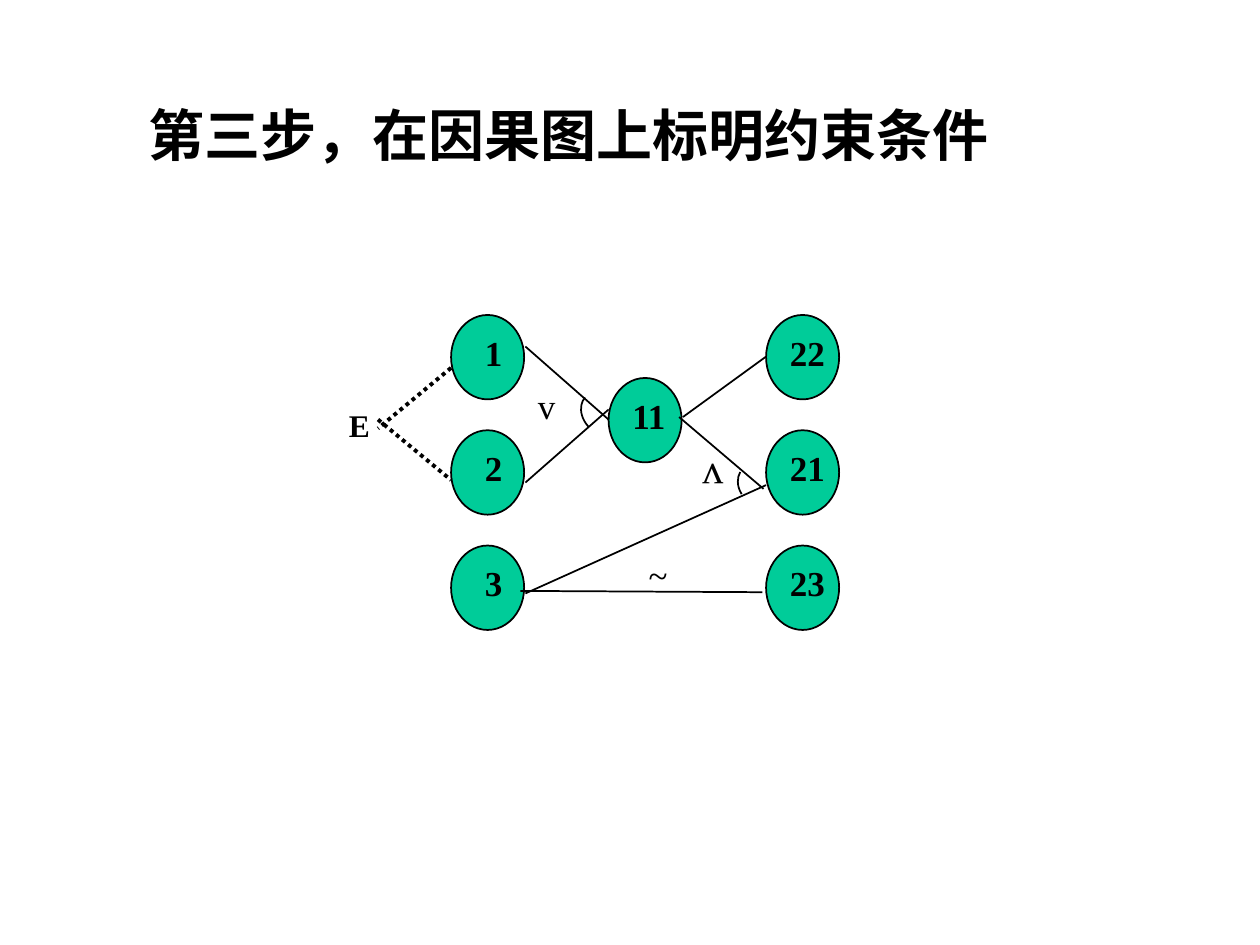
from dataclasses import dataclass

from lxml import etree
from pptx import Presentation
from pptx.dml.color import RGBColor
from pptx.enum.dml import MSO_LINE
from pptx.enum.shapes import MSO_CONNECTOR, MSO_SHAPE
from pptx.enum.text import PP_ALIGN
from pptx.oxml.ns import qn
from pptx.util import Inches, Pt

STRAIGHT = MSO_CONNECTOR.STRAIGHT
ELLIPSE, ARC = MSO_SHAPE.OVAL, MSO_SHAPE.ARC
JUSTIFY = PP_ALIGN.JUSTIFY
DOTTED = MSO_LINE.ROUND_DOT


@dataclass(frozen=True)
class Theme:
    ink: RGBColor = RGBColor(0x00, 0x00, 0x00)
    node_fill: RGBColor = RGBColor(0x00, 0xCC, 0x99)
    title_font: str = "Noto Sans CJK SC"
    label_font: str = "Times New Roman"
    title_size: int = 32
    label_size: int = 20
    and_size: int = 24
    constraint_size: int = 18
    thin: float = 1
    thick: float = 2.25


THEME = Theme()

NODE_WIDTH, NODE_HEIGHT = 0.58, 0.67
CAUSE_LEFT, MIDDLE_LEFT, EFFECT_LEFT = 3.58, 4.83, 6.08
ROW_TOP, ROW_STEP = 2.5, 0.915
CAUSES = ["1", "2", "3"]
EFFECTS = ["22", "21", "23"]

RELATIONS = [
    ((4.17, 2.75), (4.83, 3.33)),
    ((4.17, 3.83), (4.83, 3.25)),
    ((6.08, 2.83), (5.42, 3.31)),
    ((5.39, 3.31), (6.06, 3.88)),
    ((6.08, 3.85), (4.17, 4.71)),
    ((4.13, 4.69), (6.05, 4.7)),
]
EXCLUSIONS = [
    ((3.58, 2.92), (3, 3.4)),
    ((3, 3.33), (3.58, 3.81)),
]
# left, top, width, height, start angle, end angle
JOIN_ARCS = [
    (4.63, 3.1, 0.29, 0.37, 176, 266),
    (5.87, 3.67, 0.3, 0.36, 193, 257),
]
ARC_ROTATION = 318.8


def add_label(slide, text, left, top, width, height, size,
              bold=False, font=THEME.label_font):
    label = slide.shapes.add_textbox(
        Inches(left), Inches(top), Inches(width), Inches(height))
    label.text_frame.word_wrap = True
    run = label.text_frame.paragraphs[0].add_run()
    run.text = text
    formats = {"name": font, "size": Pt(size), "bold": bold}
    for attribute, value in formats.items():
        setattr(run.font, attribute, value)
    run.font.color.rgb = THEME.ink
    east_asian = etree.SubElement(run.font._element, qn("a:ea"))
    east_asian.set("typeface", font)
    return label


def add_title(slide, text):
    title = add_label(slide, text, 1.08, 0.75, 8.5, 0.92, THEME.title_size,
                      bold=True, font=THEME.title_font)
    paragraph = title.text_frame.paragraphs[0]
    paragraph.alignment = JUSTIFY
    properties = paragraph._p.get_or_add_pPr()
    properties.set("marL", str(Inches(0.38)))
    properties.set("indent", str(-Inches(0.38)))


def add_node(slide, number, left, top):
    node = slide.shapes.add_shape(
        ELLIPSE, Inches(left), Inches(top),
        Inches(NODE_WIDTH), Inches(NODE_HEIGHT))
    node.shadow.inherit = False
    node.fill.solid()
    node.fill.fore_color.rgb = THEME.node_fill
    node.line.color.rgb = THEME.ink
    node.line.width = Pt(THEME.thin)
    inset = 0.17 if len(number) == 1 else 0.09
    add_label(slide, number, left + inset, top + 0.08, 0.5, 0.44,
              THEME.label_size, bold=True)


def add_link(slide, start, end, width=THEME.thin, dash=None):
    link = slide.shapes.add_connector(
        STRAIGHT, *(Inches(value) for value in (*start, *end)))
    formats = {"width": Pt(width), "dash_style": dash}
    for attribute, value in formats.items():
        setattr(link.line, attribute, value)
    link.line.color.rgb = THEME.ink
    etree.SubElement(link._element.spPr, qn("a:effectLst"))


def add_join_arc(slide, left, top, width, height, start, end):
    """Draw the arc that ties two links together; angles are in degrees."""
    arc = slide.shapes.add_shape(
        ARC, Inches(left), Inches(top), Inches(width), Inches(height))
    arc.shadow.inherit = False
    arc.fill.background()
    arc.line.color.rgb = THEME.ink
    arc.line.width = Pt(THEME.thin)
    arc.rotation = ARC_ROTATION
    for index, angle in enumerate((start, end)):
        arc.adjustments[index] = angle * 0.6


def main():
    presentation = Presentation()
    presentation.slide_width = Inches(10)
    presentation.slide_height = Inches(7.5)
    slide = presentation.slides.add_slide(presentation.slide_layouts[6])

    add_title(slide, "第三步，在因果图上标明约束条件")

    for left, numbers in ((CAUSE_LEFT, CAUSES), (EFFECT_LEFT, EFFECTS)):
        for row, number in enumerate(numbers):
            add_node(slide, number, left, ROW_TOP + row * ROW_STEP)
    add_node(slide, "11", MIDDLE_LEFT, 3)

    for start, end in RELATIONS:
        add_link(slide, start, end)

    add_label(slide, "~", 5.05, 4.34, 0.42, 0.44, THEME.label_size)
    and_sign = add_label(slide, "v", 5.42, 3.57, 0.42, 0.5, THEME.and_size)
    and_sign.rotation = 180
    add_label(slide, "v", 4.17, 3, 0.5, 0.44, THEME.label_size)
    for arc in JOIN_ARCS:
        add_join_arc(slide, *arc)

    for start, end in EXCLUSIONS:
        add_link(slide, start, end, THEME.thick, DOTTED)
    add_label(slide, "E", 2.67, 3.17, 0.42, 0.4, THEME.constraint_size,
              bold=True)

    presentation.save("out.pptx")


if __name__ == "__main__":
    main()
